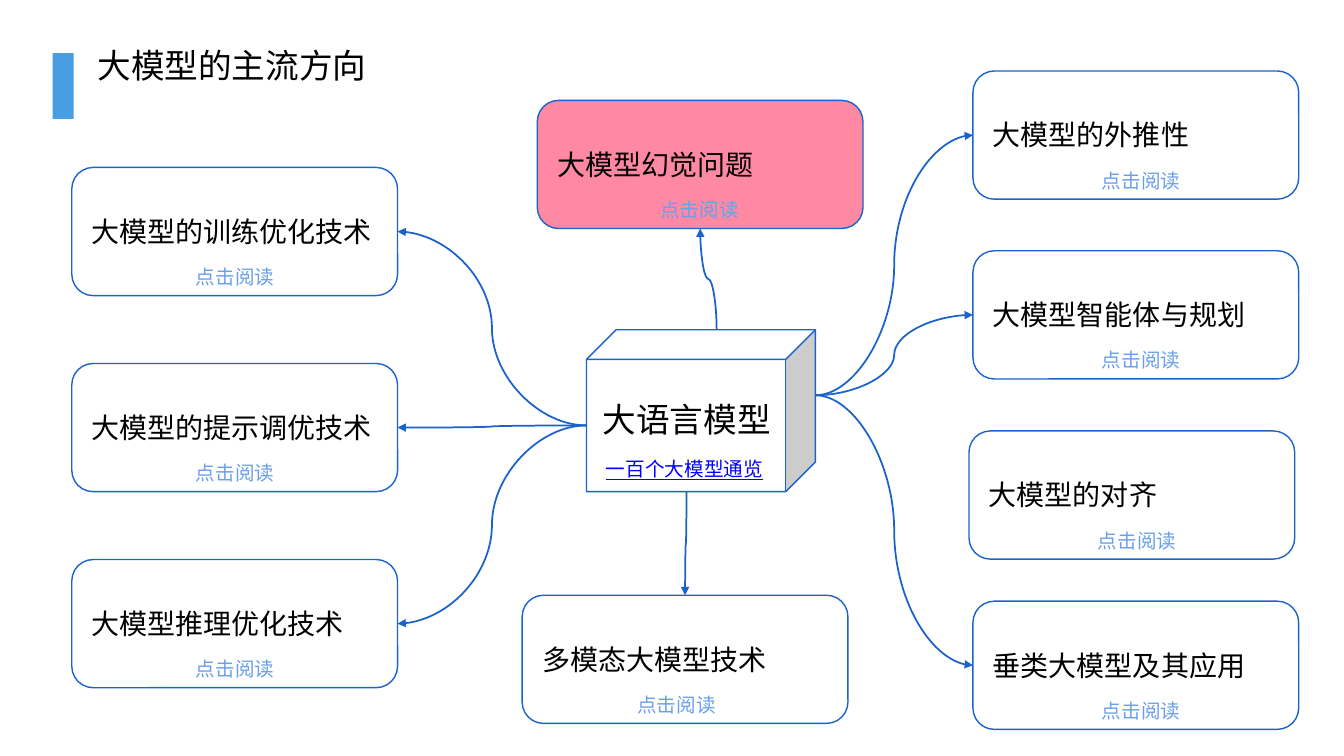
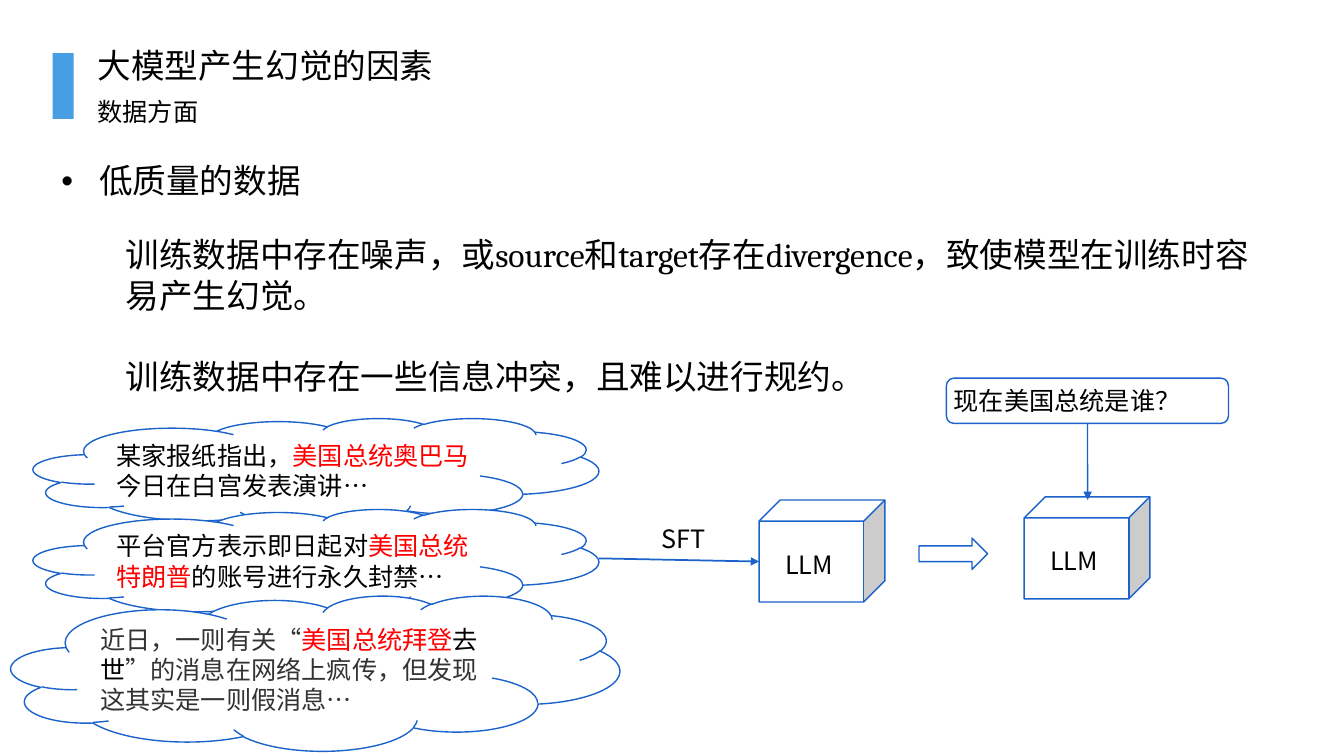
from lxml.etree import SubElement
from pptx import Presentation
from pptx.dml.color import RGBColor
from pptx.enum.shapes import MSO_CONNECTOR, MSO_SHAPE
from pptx.enum.text import MSO_ANCHOR, MSO_AUTO_SIZE, PP_ALIGN
from pptx.oxml.ns import qn
from pptx.util import Cm, Pt

HUES = {
    "bar": "479EE3",
    "line": "1B62CA",
    "white": "FFFFFF",
    "pink": "FF89A3",
    "ink": "000000",
    "gray": "333333",
    "red": "FF0000",
    "soft": "6A9FEB",
    "link": "0000FF",
}
SANS = "Noto Sans CJK SC"
WIDE, TALL = 8.21, 3.23


def hue(name):
    return RGBColor.from_string(HUES[name])


class Deck:
    def __init__(self):
        self.prs = Presentation()
        self.prs.slide_width = Cm(33.87)
        self.prs.slide_height = Cm(19.05)
        self.slide = None

    def page(self, title):
        self.slide = self.prs.slides.add_slide(self.prs.slide_layouts[6])
        self.shape(MSO_SHAPE.RECTANGLE, 1.33, 1.34, 0.53, 1.66, "bar", None)
        head = self.text(title, 2.33, 1.12, 13.94, 1.19, 24, wrap=True, grow=False)
        head.text_frame.vertical_anchor = MSO_ANCHOR.MIDDLE
        head.text_frame.paragraphs[0].line_spacing = 0.9

    def shape(self, kind, x, y, w, h, fill="white", line="line", adj=None):
        item = self.slide.shapes.add_shape(kind, Cm(x), Cm(y), Cm(w), Cm(h))
        item.shadow.inherit = False
        item.fill.solid()
        item.fill.fore_color.rgb = hue(fill)
        if line:
            item.line.color.rgb = hue(line)
            item.line.width = Pt(1)
        else:
            item.line.fill.background()
        if adj:
            item.adjustments[0] = adj
        return item

    def label(self, frame, runs, size, font=SANS, color="ink", pad=0.13, bullet=False):
        frame.margin_left = frame.margin_right = Cm(pad)
        frame.margin_top = frame.margin_bottom = Cm(0.13)
        para = frame.paragraphs[0]
        para.alignment = PP_ALIGN.LEFT
        if isinstance(runs, str):
            runs = [(runs, color)]
        for words, tint in runs:
            run = para.add_run()
            run.text = words
            if len(runs) > 1:
                run.font.color.rgb = hue(tint)
        if bullet:
            props = para._p.get_or_add_pPr()
            props.set("marL", str(Cm(0.95)))
            props.set("indent", str(-Cm(0.95)))
            SubElement(props, qn("a:buFont")).set("typeface", "Arial")
            SubElement(props, qn("a:buChar")).set("char", "•")
        para.font.size = Pt(size)
        if len(runs) == 1:
            para.font.color.rgb = hue(color)
        para.font.name = font
        latin = para._p.pPr.find(qn("a:defRPr")).find(qn("a:latin"))
        east = SubElement(latin.getparent(), qn("a:ea"))
        east.set("typeface", SANS)
        latin.addnext(east)

    def text(self, words, x, y, w, h, size, wrap=False, grow=True, **style):
        box = self.slide.shapes.add_textbox(Cm(x), Cm(y), Cm(w), Cm(h))
        frame = box.text_frame
        frame.word_wrap = wrap
        frame.auto_size = MSO_AUTO_SIZE.SHAPE_TO_FIT_TEXT if grow else MSO_AUTO_SIZE.NONE
        self.label(frame, words, size, **style)
        return box

    def filled(self, kind, runs, x, y, w, h, font=SANS):
        item = self.shape(kind, x, y, w, h)
        item.text_frame.word_wrap = True
        item.text_frame.vertical_anchor = MSO_ANCHOR.MIDDLE
        self.label(item.text_frame, runs, 18, font)
        return item

    def arrow(self, start, end, kind=MSO_CONNECTOR.STRAIGHT, width=1.25):
        wire = self.slide.shapes.add_connector(kind, *map(Cm, start + end))
        wire.line.color.rgb = hue("line")
        wire.line.width = Pt(width)
        SubElement(wire.line._get_or_add_ln(), qn("a:tailEnd")).set("type", "triangle")
        SubElement(wire._element.spPr, qn("a:effectLst"))
        return wire

    def curve(self, start, end):
        return self.arrow(start, end, MSO_CONNECTOR.CURVE)

    def rise(self, start, end):
        dx, dy = end[0] - start[0], end[1] - start[1]
        mid_x, mid_y = start[0] + dx / 2, start[1] + dy / 2
        turn = 1 if dy > 0 else -1
        run, drop = turn * dy / 2, -turn * dx / 2
        wire = self.curve((mid_x - run, mid_y - drop), (mid_x + run, mid_y + drop))
        wire._element.spPr.find(qn("a:xfrm")).set("rot", str(turn * 90 % 360 * 60000))

    def node(self, words, x, y, shift, fill="white"):
        self.shape(MSO_SHAPE.ROUNDED_RECTANGLE, x, y, WIDE, TALL, fill)
        self.text(words, x + 0.25, y + 1.05, 7.96, 1.12, 20, wrap=True, pad=0.25)
        self.text("点击阅读", x + shift, y + 2.33, 2.27, 0.85, 14, color="soft")

    def model(self, x, y):
        self.shape(MSO_SHAPE.CUBE, x, y, 3.17, 2.57, adj=0.207)
        self.text("LLM", x + 0.53, y + 1.1, 1.57, 1.02, 18)


def topics(deck):
    deck.page("大模型的主流方向")
    deck.shape(MSO_SHAPE.CUBE, 14.78, 8.31, 5.77, 4.08, adj=0.183)
    deck.text("大语言模型", 15.06, 9.93, 4.52, 1.28, 24)
    link = deck.text("一百个大模型通览", 15.14, 11.38, 4.25, 0.85, 14, color="link")
    link.text_frame.paragraphs[0].font.underline = True

    left = ["大模型的训练优化技术", "大模型的提示调优技术", "大模型推理优化技术"]
    for row, words in enumerate(left):
        y = 4.22 + row * 4.94
        deck.node(words, 1.81, y, 3)
        deck.curve((14.78, 10.72), (1.81 + WIDE, y + TALL / 2))

    right = [("大模型的外推性", 1.79), ("大模型智能体与规划", 6.32), ("垂类大模型及其应用", 15.15)]
    for words, y in right:
        deck.node(words, 24.52, y, 3.12)
        deck.curve((20.55, 9.96), (24.52, y + TALL / 2))
    deck.node("大模型的对齐", 24.42, 10.86, 3.12)

    deck.node("大模型幻觉问题", 13.54, 2.53, 2.97, "pink")
    deck.rise((18.06, 8.31), (13.54 + WIDE / 2, 2.53 + TALL))
    deck.node("多模态大模型技术", 13.16, 15, 2.77)
    deck.rise((17.3, 12.39), (13.16 + WIDE / 2, 15))


def causes(deck):
    deck.page("大模型产生幻觉的因素")
    deck.text("数据方面", 2.33, 2.31, 2.82, 1.03, 18)
    deck.text("低质量的数据", 1.3, 3.91, 17.12, 1.28, 24, wrap=True,
              font="Cambria", pad=0.25, bullet=True)
    notes = [
        ("训练数据中存在噪声，或source和target存在divergence，致使模型在训练时容易产生幻觉。", 5.77, 2.31),
        ("训练数据中存在一些信息冲突，且难以进行规约。", 8.84, 1.28),
    ]
    for words, y, h in notes:
        deck.text(words, 3.04, y, 29.08, h, 24, wrap=True, font="Cambria")

    deck.model(19.13, 12.6)
    deck.arrow((15.09, 14.07), (19.13, 14.15))
    deck.text("SFT", 16.54, 13.06, 1.42, 1.02, 18)

    clouds = [
        ([("某家报纸指出，", "ink"), ("美国总统奥巴马", "red"),
          ("今日在白宫发表演讲…", "ink")], 0.84, 10.54, 14.25, 2.74, SANS),
        ([("平台官方表示即日起对", "ink"), ("美国总统特朗普", "red"),
          ("的账号进行永久封禁…", "ink")], 0.84, 12.83, 14.25, 2.74, SANS),
        ([("近日，一则有关“", "gray"), ("美国总统拜登", "red"), ("去世", "ink"),
          ("”的消息在网络上疯传，但发现这其实是一则假消息…", "gray")],
         0.28, 15.01, 15.34, 3.91, "Arial"),
    ]
    for cloud in clouds:
        deck.filled(MSO_SHAPE.CLOUD, *cloud)

    ask = deck.filled(MSO_SHAPE.ROUNDED_RECTANGLE, "现在美国总统是谁？", 23.85, 9.53, 7.11, 1.14)
    deck.model(25.81, 12.52)
    deck.arrow((27.41, 10.67), (27.41, 12.6), width=1).begin_connect(ask, 2)
    deck.shape(MSO_SHAPE.RIGHT_ARROW, 23.16, 13.56, 1.73, 0.79)


def main():
    deck = Deck()
    topics(deck)
    causes(deck)
    deck.prs.save("out.pptx")


if __name__ == "__main__":
    main()
